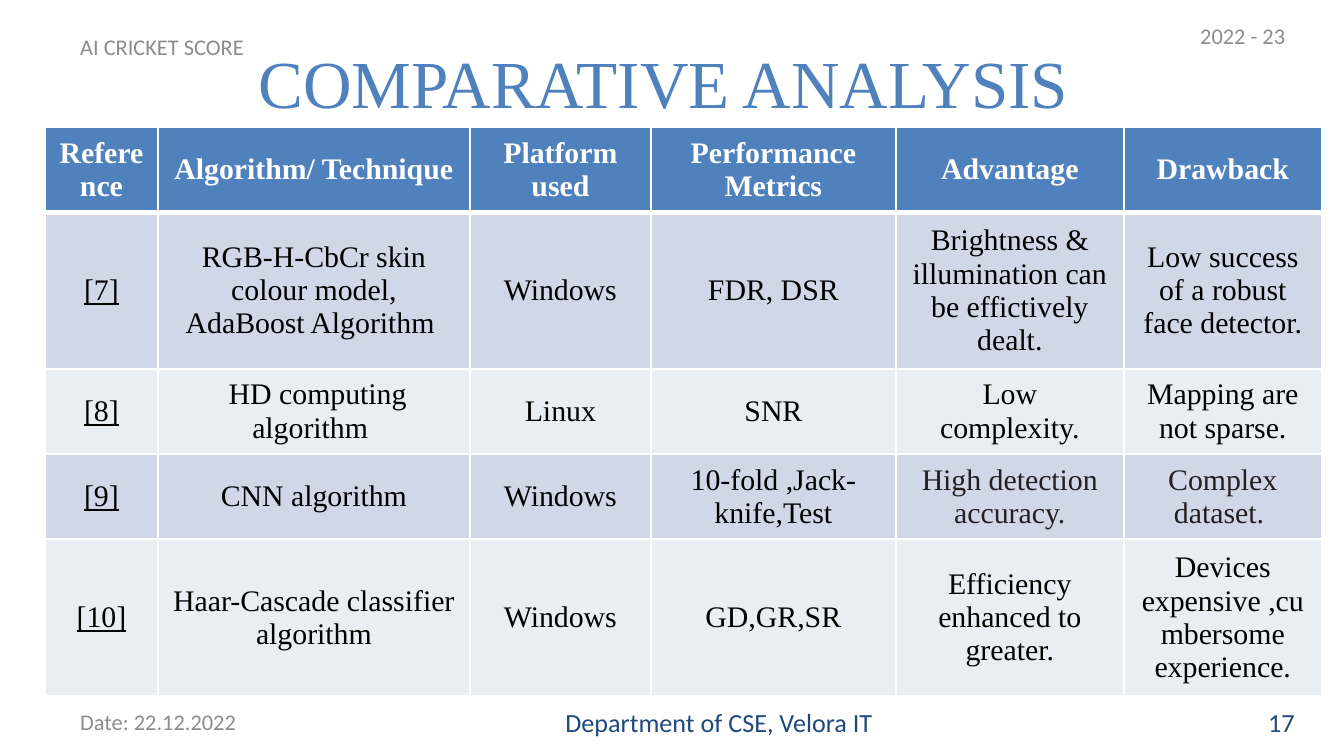
from dataclasses import dataclass

from lxml import etree
from pptx import Presentation
from pptx.dml.color import RGBColor
from pptx.enum.text import MSO_ANCHOR, PP_ALIGN
from pptx.oxml.ns import qn
from pptx.util import Pt

LEFT, CENTER, RIGHT = PP_ALIGN.LEFT, PP_ALIGN.CENTER, PP_ALIGN.RIGHT
MIDDLE = MSO_ANCHOR.MIDDLE
EMU_PER_PX = 914400 / 134.4
SANS, SERIF = "Calibri", "Times New Roman"

COLORS = {
    "navy": "1F497D",
    "blue": "4F81BD",
    "gray": "8C8C8C",
    "white": "FFFFFF",
    "black": "000000",
    "soft_black": "231F20",
    "band_dark": "D0D8E8",
    "band_light": "E9EDF4",
}


@dataclass(frozen=True)
class TextStyle:
    size: int
    color: str
    font: str = SANS
    align: PP_ALIGN = LEFT
    bold: bool = False
    underline: bool = False


@dataclass(frozen=True)
class Label:
    text: str
    left: int
    top: int
    width: int
    height: int
    style: TextStyle


SMALL = TextStyle(12, "gray")
FOOTER = TextStyle(14, "navy", align=RIGHT)
TITLE = TextStyle(36, "blue", SERIF, CENTER)
HEADER = TextStyle(16, "white", SERIF, CENTER, bold=True)
BODY = TextStyle(16, "black", SERIF, CENTER)
BODY_SOFT = TextStyle(16, "soft_black", SERIF, CENTER)
REFERENCE = TextStyle(16, "black", SERIF, CENTER, underline=True)

LABELS = [
    Label("17", 1210, 702, 98, 40, FOOTER),
    Label("2022 - 23", 1187, 10, 145, 51, SMALL),
    Label("COMPARATIVE ANALYSIS ", 67, 31, 1210, 101, TITLE),
    Label("Department of CSE, Velora IT", 460, 702, 426, 40, FOOTER),
    Label("AI CRICKET SCORE", 67, 32, 414, 30, SMALL),
    Label("Date: 22.12.2022", 67, 702, 313, 40, SMALL),
]

TABLE_LEFT, TABLE_TOP = 45, 127
COLUMN_WIDTHS = [113, 312, 181, 245, 228, 198]
ROW_HEIGHTS = [80, 146, 80, 80, 146]
SOFT_CELLS = {(3, 4), (3, 5)}
ROWS = [
    ["Reference", "Algorithm/ Technique", "Platform used",
     "Performance Metrics", "Advantage", "Drawback"],
    ["[7]", "RGB-H-CbCr skin colour model, AdaBoost Algorithm ", "Windows",
     "FDR, DSR", "Brightness & illumination can be effictively dealt.",
     "Low success of a robust face detector."],
    ["[8]", " HD computing algorithm ", "Linux", "SNR",
     "Low complexity.", "Mapping are not sparse."],
    ["[9]", "CNN algorithm", "Windows", "10-fold ,Jack-knife,Test",
     "High detection accuracy.", "Complex dataset. "],
    # A no-break space holds the comma to the word before it
    ["[10]", "Haar-Cascade classifier algorithm", "Windows", "GD,GR,SR",
     "Efficiency enhanced to greater.",
     "Devices expensive ,cumbersome experience."],
]


def px(length: int) -> int:
    return round(length * EMU_PER_PX)


def color(name: str) -> RGBColor:
    return RGBColor.from_string(COLORS[name])


def set_text(text_frame, text: str, style: TextStyle) -> None:
    text_frame.text = text
    text_frame.word_wrap = True
    paragraph = text_frame.paragraphs[0]
    paragraph.alignment = style.align
    font = paragraph.runs[0].font
    font.name, font.size = style.font, Pt(style.size)
    font.bold, font.underline = style.bold, style.underline
    font.color.rgb = color(style.color)


def add_label(slide, label: Label) -> None:
    shape = slide.shapes.add_textbox(
        px(label.left), px(label.top), px(label.width), px(label.height))
    shape.text_frame.vertical_anchor = MIDDLE
    set_text(shape.text_frame, label.text, label.style)


def set_borders(cell, bottom: int, top: int) -> None:
    properties = cell._tc.get_or_add_tcPr()
    for side, width in (("L", 1), ("R", 1), ("T", top), ("B", bottom)):
        line = etree.SubElement(properties, qn(f"a:ln{side}"), w=str(Pt(width)))
        fill = etree.SubElement(line, qn("a:solidFill"))
        etree.SubElement(fill, qn("a:srgbClr"), val=COLORS["white"])


def cell_style(row: int, column: int) -> TextStyle:
    if row == 0:
        return HEADER
    if column == 0:
        return REFERENCE
    return BODY_SOFT if (row, column) in SOFT_CELLS else BODY


def row_fill(row: int) -> str:
    if row == 0:
        return "blue"
    return "band_dark" if row % 2 else "band_light"


def add_comparison_table(slide) -> None:
    table = slide.shapes.add_table(
        len(ROWS), len(COLUMN_WIDTHS), px(TABLE_LEFT), px(TABLE_TOP),
        px(sum(COLUMN_WIDTHS)), px(sum(ROW_HEIGHTS))).table
    for column, width in zip(table.columns, COLUMN_WIDTHS):
        column.width = px(width)
    for row, height in zip(table.rows, ROW_HEIGHTS):
        row.height = px(height)
    for row, texts in enumerate(ROWS):
        for column, text in enumerate(texts):
            cell = table.cell(row, column)
            cell.vertical_anchor = MIDDLE
            set_borders(cell, bottom=3 if row == 0 else 1, top=3 if row == 1 else 1)
            cell.fill.solid()
            cell.fill.fore_color.rgb = color(row_fill(row))
            set_text(cell.text_frame, text, cell_style(row, column))


def main() -> None:
    presentation = Presentation()
    presentation.slide_width, presentation.slide_height = px(1344), px(756)
    slide = presentation.slides.add_slide(presentation.slide_layouts[6])

    # Title, header and footer
    for label in LABELS:
        add_label(slide, label)

    # Comparison of the referenced works
    add_comparison_table(slide)

    presentation.save("out.pptx")


if __name__ == "__main__":
    main()
